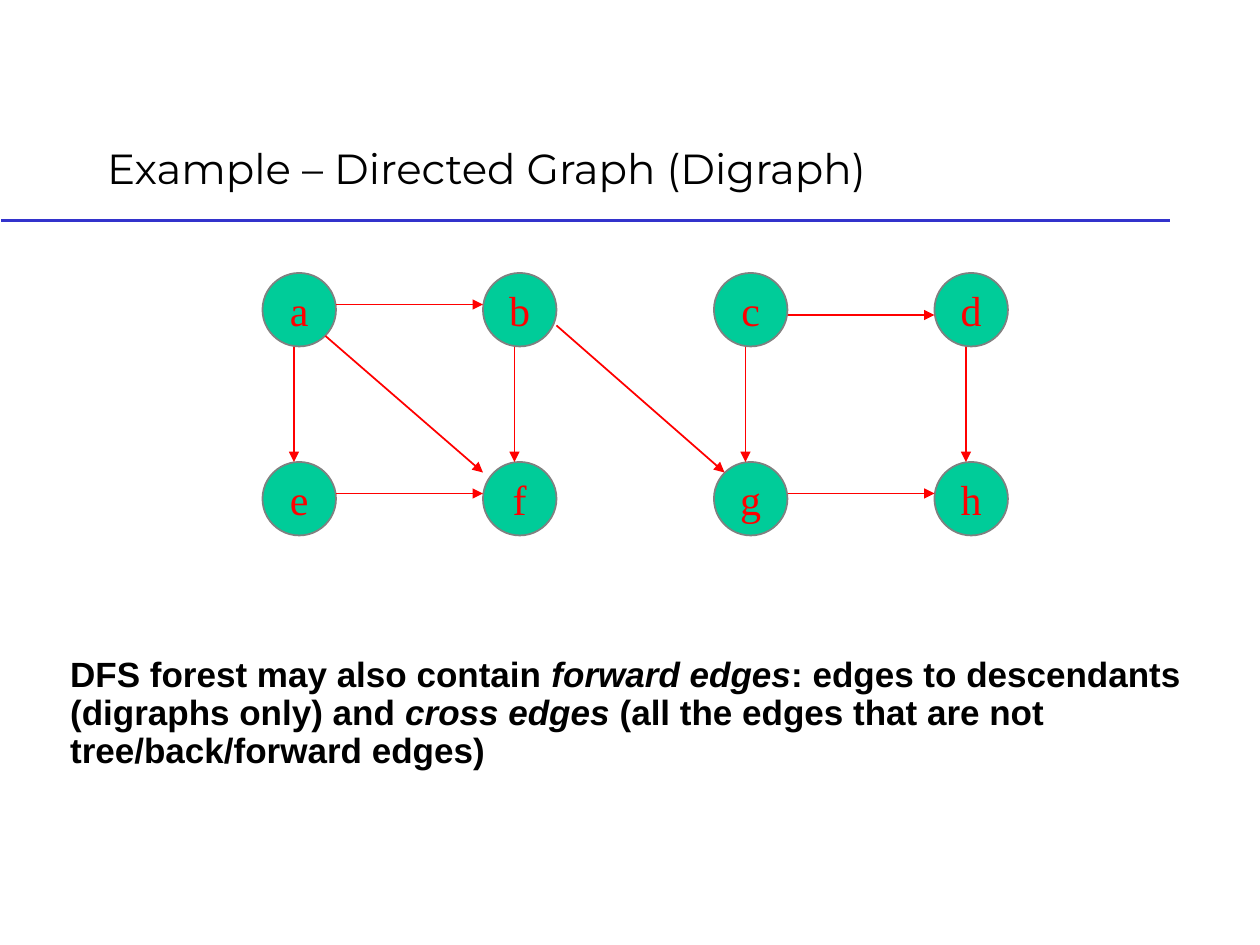
from lxml import etree
from pptx import Presentation, util as u
from pptx.dml.color import RGBColor
from pptx.enum import shapes, text
from pptx.oxml.ns import qn

BLACK = RGBColor(0, 0, 0)
RED = RGBColor(255, 0, 0)
GREEN = RGBColor(0, 204, 153)
GRAY = RGBColor(128, 128, 128)
BLUE = RGBColor(51, 51, 204)

SIZE = 7
COLS = (25, 46, 68, 89)
ROWS = {26: "abcd", 44: "efgh"}
NODES = {name: (x, y) for y, names in ROWS.items() for x, name in zip(COLS, names)}
ACROSS = (("a", "b", 3), ("e", "f", 3), ("c", "d", 4), ("g", "h", 3))
DOWN = ("ae", "bf", "cg", "dh")
SLANTS = ((31, 32, 46, 45), (53, 31, 69, 45))


class Board:
    def __init__(self, deck):
        self.slide = deck.slides.add_slide(deck.slide_layouts[5])
        self.unit = deck.slide_width / 120

    def span(self, *cells):
        return [u.Emu(round(cell * self.unit)) for cell in cells]

    def words(self, para, words, font, size, color, bold=False, slant=False):
        run = para.add_run()
        run.text = words
        face = run.font
        face.name, face.size = font, u.Pt(size)
        face.bold, face.italic = bold, slant
        face.color.rgb = color

    def title(self, words, *area):
        box = self.slide.shapes.title
        box.left, box.top, box.width, box.height = self.span(*area)
        frame = box.text_frame
        frame.auto_size = text.MSO_AUTO_SIZE.NONE
        frame.vertical_anchor = text.MSO_ANCHOR.BOTTOM
        para = frame.paragraphs[0]
        para.alignment = text.PP_ALIGN.LEFT
        self.words(para, words, "Montserrat", 24, BLACK)

    def note(self, parts, *area):
        frame = self.slide.shapes.add_textbox(*self.span(*area)).text_frame
        frame.word_wrap = True
        para = frame.paragraphs[0]
        para.line_spacing = 0.9
        for words, slant in parts:
            self.words(para, words, "Arial", 20, BLACK, True, slant)

    def node(self, name, x, y):
        oval = self.slide.shapes.add_shape(
            shapes.MSO_SHAPE.OVAL, *self.span(x, y, SIZE, SIZE))
        oval.shadow.inherit = False
        oval.fill.solid()
        oval.fill.fore_color.rgb = GREEN
        oval.line.color.rgb = GRAY
        oval.line.width = u.Pt(1)
        frame = oval.text_frame
        frame.word_wrap = False
        frame.vertical_anchor = text.MSO_ANCHOR.MIDDLE
        para = frame.paragraphs[0]
        para.alignment = text.PP_ALIGN.CENTER
        self.words(para, name, "Times New Roman", 24, RED)

    def rule(self, ends, color, width):
        line = self.slide.shapes.add_connector(
            shapes.MSO_CONNECTOR.STRAIGHT, *self.span(*ends))
        line.line.color.rgb = color
        line.line.width = u.Pt(width)
        etree.SubElement(line._element.spPr, qn("a:effectLst"))
        return line

    def edge(self, *ends):
        line = self.rule(ends, RED, 1)
        stroke = line._element.spPr.find(qn("a:ln"))
        etree.SubElement(stroke, qn("a:tailEnd"), type="triangle")


def main():
    deck = Presentation()
    deck.slide_width, deck.slide_height = u.Inches(10), u.Inches(7.5)
    board = Board(deck)
    board.rule((0.1, 21, 111.4, 21), BLUE, 1.5)
    board.title("Example – Directed Graph (Digraph)", 9, 8, 102, 11)
    board.note((
        ("DFS forest may also contain ", False),
        ("forward edges", True),
        (": edges to descendants (digraphs only) and ", False),
        ("cross edges", True),
        (" (all the edges that are not tree/back/forward edges)", False),
    ), 5.5, 62, 109, 15)
    for name, (x, y) in NODES.items():
        board.node(name, x, y)
    for start, end, drop in ACROSS:
        x, y = NODES[start]
        board.edge(x + SIZE, y + drop, NODES[end][0], y + drop)
    for start, end in DOWN:
        x, y = NODES[start]
        board.edge(x + 3, y + SIZE, x + 3, NODES[end][1])
    for ends in SLANTS:
        board.edge(*ends)
    deck.save("out.pptx")


if __name__ == "__main__":
    main()
